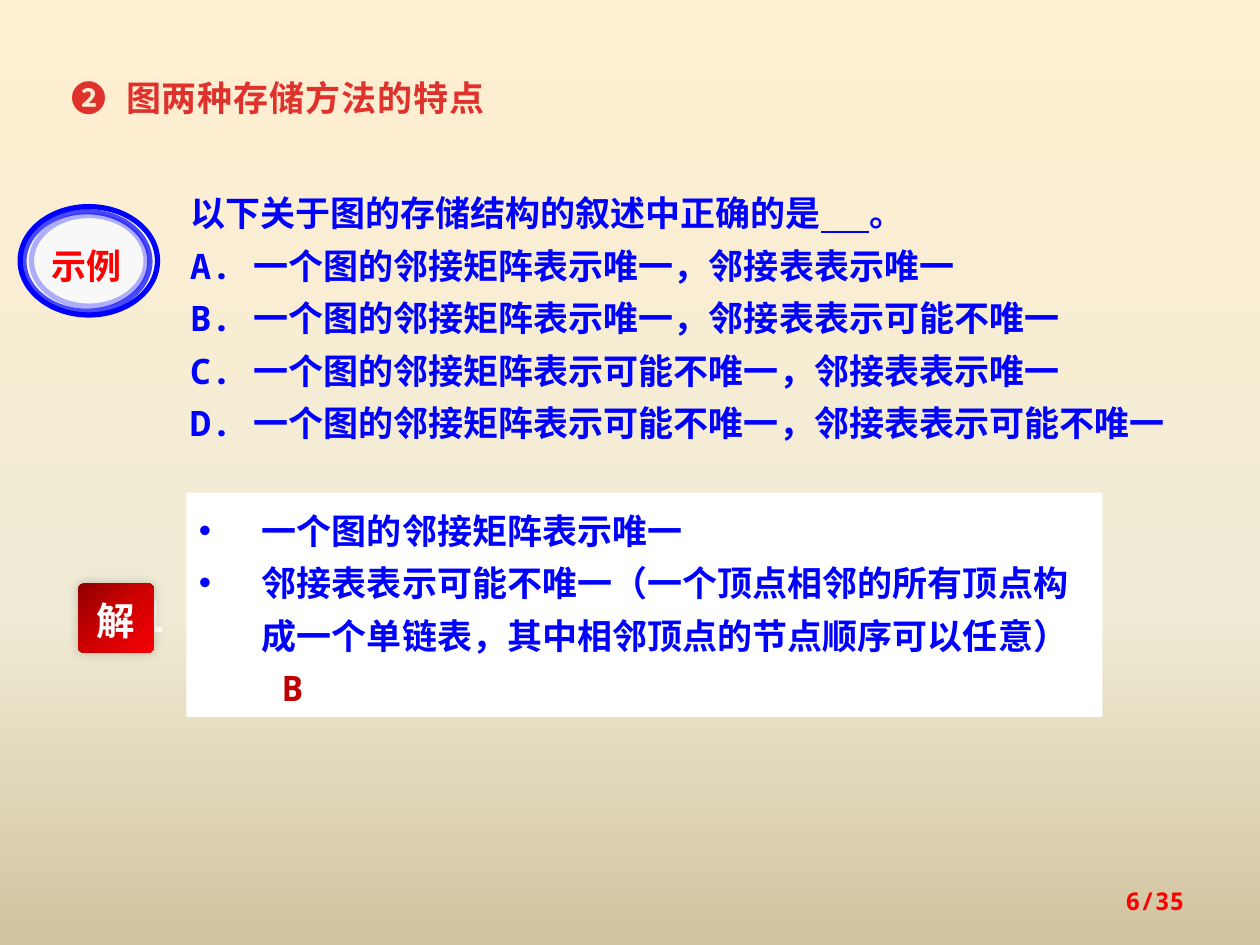
from copy import deepcopy

from lxml import etree
from pptx import Presentation
from pptx.dml.color import RGBColor
from pptx.enum.shapes import MSO_SHAPE
from pptx.enum.text import MSO_ANCHOR, MSO_AUTO_SIZE, PP_ALIGN
from pptx.oxml.ns import qn
from pptx.util import Inches, Pt

OVAL, RECT, ROUNDED = MSO_SHAPE.OVAL, MSO_SHAPE.RECTANGLE, MSO_SHAPE.ROUNDED_RECTANGLE
LEFT, CENTER, RIGHT = PP_ALIGN.LEFT, PP_ALIGN.CENTER, PP_ALIGN.RIGHT
TOP, MIDDLE = MSO_ANCHOR.TOP, MSO_ANCHOR.MIDDLE
MONO, SANS_SC, SANS_JP = "Noto Sans Mono", "Noto Sans CJK SC", "Noto Sans CJK JP"
BLUE, RED, DARK_RED, WHITE = "0000FF", "FF0000", "C00000", "FFFFFF"


def paint(fill, *stops, angle=90):
    """Fill with one hex colour, or with (percent, hex) stops at a clockwise angle."""
    if isinstance(stops[0], str):
        fill.solid()
        fill.fore_color.rgb = RGBColor.from_string(stops[0])
        return
    fill.gradient()
    fill.gradient_angle = 360 - angle
    first = fill.gradient_stops[0]._gs
    for _ in range(len(stops) - 2):
        first.addnext(deepcopy(first))
    for stop, (percent, colour) in zip(fill.gradient_stops, stops):
        stop.position = percent / 100
        stop.color.rgb = RGBColor.from_string(colour)


def write(shape, *paragraphs, size=20, font=MONO, asian=SANS_SC, colour=(BLUE,),
          align=LEFT, anchor=TOP, spacing=None, wrap=True):
    """Each paragraph is a string or a list of (text, underlined) pairs."""
    frame = shape.text_frame
    frame.word_wrap = wrap
    frame.auto_size = MSO_AUTO_SIZE.NONE
    frame.vertical_anchor = anchor
    for index, content in enumerate(paragraphs):
        paragraph = frame.add_paragraph() if index else frame.paragraphs[0]
        paragraph.alignment = align
        paragraph.line_spacing = spacing
        pieces = [(content, None)] if isinstance(content, str) else content
        for text, underlined in pieces:
            run = paragraph.add_run()
            run.text = text
            run.font.size = Pt(size)
            run.font.bold = True
            run.font.underline = underlined
            paint(run.font.fill, *colour)
            run.font.name = font
            etree.SubElement(run.font._element, qn("a:ea"), typeface=asian)
    return frame


prs = Presentation()
prs.slide_width, prs.slide_height = Inches(10), Inches(7.5)
slide = prs.slides.add_slide(prs.slide_layouts[5])
shapes = slide.shapes
paint(slide.background.fill, (0, "FFEFD1"), (65, "F0EBD5"), (100, "D1C39F"))

# Heading
title = shapes.title
title.left, title.top, title.width, title.height = (
    Inches(v) for v in (0.47, 0.47, 4.77, 0.48))
heading = write(title, "❷\t图两种存储方法的特点", font=SANS_SC, spacing=Pt(30),
                colour=((25, "E0322D"), (100, "A2201C"))).paragraphs[0]
heading.runs[0].font._element.set("spc", "50")
tabs = etree.SubElement(heading._p.get_or_add_pPr(), qn("a:tabLst"))
etree.SubElement(tabs, qn("a:tab"), pos=str(Inches(0.43)), algn="l")

# Question and its choices
question = shapes.add_textbox(Inches(1.41), Inches(1.39), Inches(8.28), Inches(2.2))
write(question,
      [("以下关于图的存储结构的叙述中正确的是", None), ("      ", True), ("。", False)],
      "A. 一个图的邻接矩阵表示唯一，邻接表表示唯一",
      "B. 一个图的邻接矩阵表示唯一，邻接表表示可能不唯一",
      "C. 一个图的邻接矩阵表示可能不唯一，邻接表表示唯一",
      "D. 一个图的邻接矩阵表示可能不唯一，邻接表表示可能不唯一",
      spacing=Pt(30))

# Answer panel
answer = shapes.add_shape(RECT, Inches(1.48), Inches(3.91), Inches(7.27), Inches(1.78))
answer.shadow.inherit = False
paint(answer.fill, WHITE)
answer.line.fill.background()
*reasons, choice = write(
    answer,
    "一个图的邻接矩阵表示唯一",
    "邻接表表示可能不唯一（一个顶点相邻的所有顶点构成一个单链表，其中相邻顶点的节点顺序可以任意）",
    "B",
    spacing=Pt(30)).paragraphs
for reason in reasons:
    props = reason._p.get_or_add_pPr()
    props.set("marL", str(Inches(0.5)))
    props.set("indent", str(Inches(-0.5)))
    etree.SubElement(props, qn("a:buFont"), typeface="Arial")
    etree.SubElement(props, qn("a:buChar"), char="•")
choice._p.get_or_add_pPr().set("marL", str(Inches(0.66)))
paint(choice.runs[0].font.fill, DARK_RED)

# Example badge: three rings, the inner ones fainter
for left, top, width, height, opacity in (
        (0.16, 1.64, 1.09, 0.86, 100),
        (0.19, 1.68, 1, 0.79, 70),
        (0.25, 1.71, 0.91, 0.72, 30)):
    ring = shapes.add_shape(OVAL, Inches(left), Inches(top), Inches(width), Inches(height))
    ring.shadow.inherit = False
    ring.line.width = Pt(3)
    paint(ring.line.fill, BLUE)
    if opacity == 100:
        paint(ring.fill, "F8F8F8")
    else:
        ring.fill.background()
        ring_colour = ring.line._ln.find(".//" + qn("a:srgbClr"))
        etree.SubElement(ring_colour, qn("a:alpha"), val=str(opacity * 1000))
example = shapes.add_textbox(Inches(0.21), Inches(1.86), Inches(0.96), Inches(0.39))
write(example, "示例", font=SANS_JP, asian=SANS_JP, colour=(RED,), align=CENTER, spacing=1.1)

# Page number
page = shapes.add_textbox(Inches(7.17), Inches(6.95), Inches(2.33), Inches(0.4))
write(page, "6/35", size=14, colour=(RED,), align=RIGHT, anchor=MIDDLE)

# Solution badge, partly covering its number
number = shapes.add_textbox(Inches(1.01), Inches(4.6), Inches(0.41), Inches(0.51))
write(number, "1", size=24, font=SANS_SC, colour=(WHITE,), align=CENTER,
      spacing=1.1, wrap=False)
solution = shapes.add_shape(ROUNDED, Inches(0.62), Inches(4.63), Inches(0.6), Inches(0.55))
solution.adjustments[0] = 0.08
solution.shadow.inherit = False
solution.line.fill.background()
paint(solution.fill, (0, "8F0000"), (50, "CF0001"), (100, "F60004"), angle=45)
effects = solution._element.spPr.find(qn("a:effectLst"))
shadow = etree.SubElement(effects, qn("a:outerShdw"), blurRad=str(Pt(6)), dist="0",
                          dir=str(225 * 60000))
shadow_colour = etree.SubElement(shadow, qn("a:srgbClr"), val="000000")
etree.SubElement(shadow_colour, qn("a:alpha"), val="20000")
write(solution, "解", size=22, font=SANS_SC, colour=(WHITE,), align=CENTER,
      anchor=MIDDLE, spacing=1.1, wrap=False)

prs.save("out.pptx")
